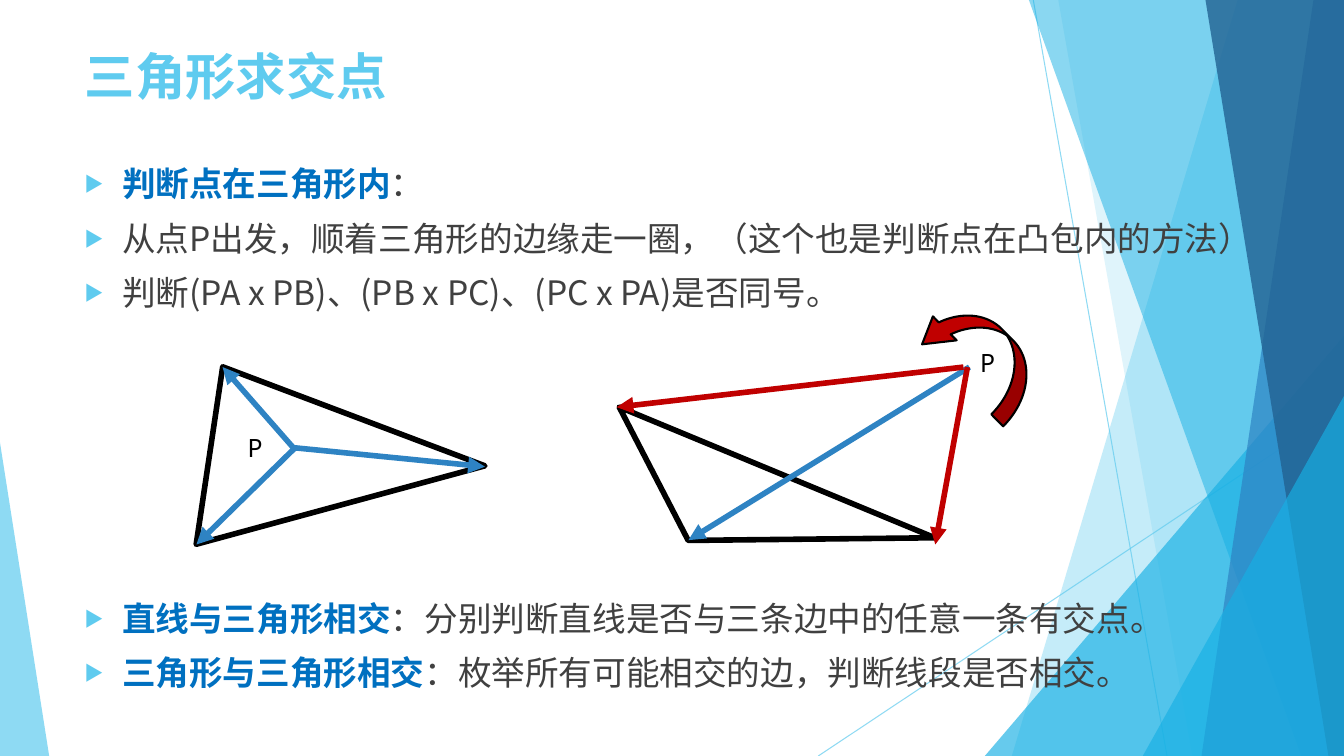
from lxml import etree
from pptx import Presentation
from pptx.dml.color import RGBColor
from pptx.enum.shapes import MSO_CONNECTOR, MSO_SHAPE
from pptx.enum.text import MSO_ANCHOR, MSO_AUTO_SIZE, PP_ALIGN
from pptx.oxml.ns import qn
from pptx.util import Cm, Pt

STRAIGHT = MSO_CONNECTOR.STRAIGHT
TRIANGLE = MSO_SHAPE.ISOSCELES_TRIANGLE
CURVED_ARROW = MSO_SHAPE.CURVED_DOWN_ARROW
TOP, LEFT = MSO_ANCHOR.TOP, PP_ALIGN.LEFT
NO_FIT = MSO_AUTO_SIZE.NONE

COLORS = {"sky": "5FCBEF", "cyan": "17B0E4", "blue": "2E83C3", "navy": "226292",
          "term": "0070C0", "text": "404040", "red": "C00000",
          "black": "000000", "white": "FFFFFF"}
CJK = "Noto Sans CJK SC"
W, H = 33.87, 19.05


def add_text(p, text, size=24, color="text", bold=False, font=CJK):
    r = p.add_run()
    r.text = text
    r.font.size, r.font.bold, r.font.name = Pt(size), bold, font
    r.font.color.rgb = RGBColor.from_string(COLORS[color])
    etree.SubElement(r.font._element, qn("a:ea"), typeface=CJK)


def add_line(start, end, color, width=4, alpha=100, arrow=True):
    c = s.shapes.add_connector(STRAIGHT, *(Cm(v) for v in start + end))
    c.line.width = Pt(width)
    c.line.color.rgb = RGBColor.from_string(COLORS[color])
    sp_pr = c._element.spPr
    if alpha < 100:
        etree.SubElement(next(sp_pr.iter(qn("a:srgbClr"))), qn("a:alpha"), val=str(alpha * 1000))
    if arrow:
        etree.SubElement(sp_pr.find(qn("a:ln")), qn("a:tailEnd"), type="triangle")
    etree.SubElement(sp_pr, qn("a:effectLst"))


prs = Presentation()
prs.slide_width, prs.slide_height = Cm(W), Cm(H)
s = prs.slides.add_slide(prs.slide_layouts[5])

# Background lines
add_line((26.04, 0), (29.41, H), "sky", width=0.75, alpha=70, arrow=False)
add_line((W, 10.24), (20.62, H), "sky", width=0.75, alpha=70, arrow=False)

# Background facets: (top x, bottom x) of a band reaching the right edge,
# or (left, top, width, height, apex) of a triangle
facets = [
    ((31.19, 25.5), "sky", 36),
    ((26.67, 30.05), "sky", 20),
    ((24.82, 8.46, 9.05, 10.59, 1), "cyan", 66),
    ((25.93, 32.79), "cyan", 50),
    ((33.1, 30.28), "blue", 70),
    ((30.38, 33.48), "navy", 80),
    ((28.8, 9.98, 5.07, 9.07, 1), "cyan", 66),
    ((0, 11.15, 1.24, 7.9, 0), "sky", 70),
]
for geometry, color, alpha in facets:
    if len(geometry) == 2:
        top_x, bottom_x = geometry
        builder = s.shapes.build_freeform(Cm(top_x), 0)
        builder.add_line_segments([(Cm(W), 0), (Cm(W), Cm(H)), (Cm(bottom_x), Cm(H))])
        sp = builder.convert_to_shape()
    else:
        sp = s.shapes.add_shape(TRIANGLE, *(Cm(v) for v in geometry[:4]))
        sp.adjustments[0] = geometry[4]
    sp.shadow.inherit = False
    sp.line.fill.background()
    sp.fill.solid()
    sp.fill.fore_color.rgb = RGBColor.from_string(COLORS[color])
    etree.SubElement(next(sp._element.spPr.iter(qn("a:srgbClr"))), qn("a:alpha"), val=str(alpha * 1000))

# Title
title = s.shapes.title
title.left, title.top, title.width, title.height = Cm(1.88), Cm(1.02), Cm(23.88), Cm(2.97)
tf = title.text_frame
tf.vertical_anchor, tf.auto_size, tf.word_wrap = TOP, NO_FIT, True
p = tf.paragraphs[0]
p.alignment = LEFT
add_text(p, "三角形求交点", size=36, color="sky", bold=True, font="Calibri")

# Bulleted text: bold term, plain text, space before
bullets = [
    ("判断点在三角形内", "：", 10),
    ("", "从点P出发，顺着三角形的边缘走一圈，（这个也是判断点在凸包内的方法）", 10),
    ("", "判断(PA x PB)、(PB x PC)、(PC x PA)是否同号。", 10),
    ("直线与三角形相交", "：分别判断直线是否与三条边中的任意一条有交点。", 204),
    ("三角形与三角形相交", "：枚举所有可能相交的边，判断线段是否相交。", 10),
]
tf = s.shapes.add_textbox(Cm(1.88), Cm(3.99), Cm(31.04), Cm(14.58)).text_frame
tf.word_wrap = True
for i, (term, text, space) in enumerate(bullets):
    p = tf.add_paragraph() if i else tf.paragraphs[0]
    p.space_before = Pt(space)
    pPr = p._p.get_or_add_pPr()
    pPr.set("marL", str(Cm(0.95)))
    pPr.set("indent", str(-Cm(0.95)))
    bu_clr = etree.SubElement(pPr, qn("a:buClr"))
    etree.SubElement(bu_clr, qn("a:srgbClr"), val=COLORS["sky"])
    etree.SubElement(pPr, qn("a:buSzPct"), val="58000")
    etree.SubElement(pPr, qn("a:buFont"), typeface=CJK)
    etree.SubElement(pPr, qn("a:buChar"), char="▶")
    if term:
        add_text(p, term, color="term", bold=True)
    add_text(p, text)

# Triangles and turning arrow
figures = [
    (TRIANGLE, (14.81, 11.81, 8.61, 2.44), 202.5, [0.664], "white", 4),
    (TRIANGLE, (4.27, 8.66, 7.54, 4.14), 344.8, [0.241], "white", 4),
    (CURVED_ARROW, (23.05, 8.11, 3.33, 1.7), 45.3, [0.25, 0.5, 0.406], "red", 1.5),
]
for kind, box, angle, adjustments, color, width in figures:
    sp = s.shapes.add_shape(kind, *(Cm(v) for v in box))
    for i, value in enumerate(adjustments):
        sp.adjustments[i] = value
    sp.rotation = angle
    sp.shadow.inherit = False
    sp.fill.solid()
    sp.fill.fore_color.rgb = RGBColor.from_string(COLORS[color])
    sp.line.color.rgb = RGBColor.from_string(COLORS["black"])
    sp.line.width = Pt(width)
    if kind == CURVED_ARROW:
        sp._element.spPr.find(qn("a:xfrm")).set("flipH", "1")

# Vectors from P to the corners
vectors = [
    ((7.39, 11.28), (5.61, 9.25), "blue"),
    ((7.44, 11.28), (4.95, 13.72), "blue"),
    ((7.39, 11.28), (12.22, 11.76), "blue"),
    ((24.43, 9.25), (17.35, 13.61), "blue"),
    ((24.28, 9.25), (15.54, 10.26), "red"),
    ((24.38, 9.25), (23.57, 13.72), "red"),
]
for start, end, color in vectors:
    add_line(start, end, color)

# Point labels
for x, y in [(5.99, 10.77), (24.45, 8.64)]:
    tf = s.shapes.add_textbox(Cm(x), Cm(y), Cm(0.86), Cm(1.02)).text_frame
    tf.word_wrap = False
    add_text(tf.paragraphs[0], "P", size=18, color="black", font="Noto Sans Mono")

prs.save("out.pptx")
